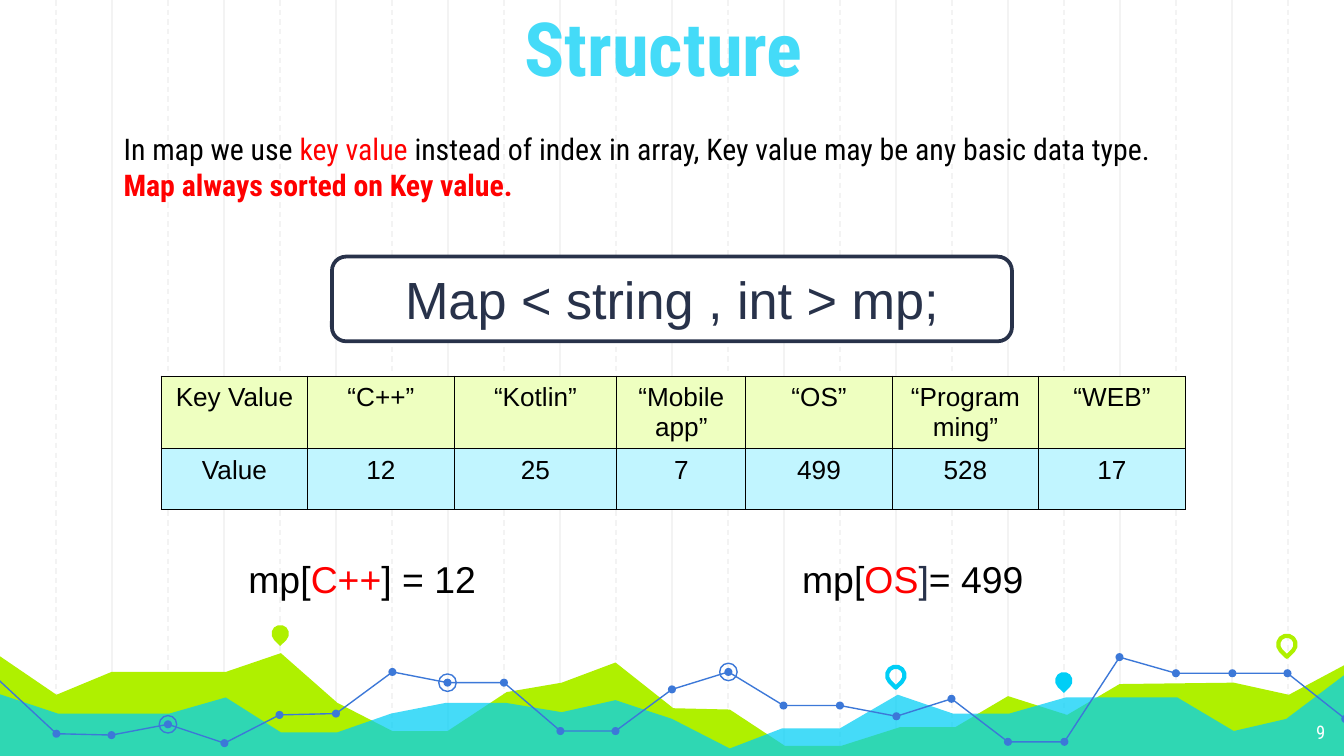
"""Build the slide on the structure of a map."""
from typing import NamedTuple

from lxml import etree
from pptx import Presentation
from pptx import util as u
from pptx.dml.color import RGBColor
from pptx.enum import dml, shapes, text
from pptx.oxml import ns

LIME, CYAN, BLUE = "AFF000", "00CEF6", "3C78D8"
BLACK, RED, NAVY, WHITE = "000000", "FF0000", "28324A", "FFFFFF"
ROBOTO, ARIAL = "Roboto Condensed", "Arial"
KIND = shapes.MSO_SHAPE
ALIGN = text.PP_ALIGN


class Box(NamedTuple):
    x: float
    y: float
    w: float
    h: float


class Bit(NamedTuple):
    words: str
    tint: str = BLACK
    bold: bool = False


class Pin(NamedTuple):
    x: float
    y: float
    tint: str
    solid: bool


class Note(NamedTuple):
    x: float
    bits: list


GREEN = [(-0.02, 4.87), (0.42, 5.17), (0.83, 5), (1.68, 5), (2.09, 4.86), (2.51, 5.23),
         (2.92, 5.44), (3.33, 5.44), (3.77, 5.15), (4.18, 5.08), (4.58, 4.93), (5.01, 5.27),
         (5.43, 5.28), (5.84, 5.55), (6.26, 5.55), (6.7, 5.41), (7.11, 5.41), (7.5, 5.18),
         (7.94, 5.32), (8.33, 5.09), (9.18, 5.08), (9.59, 5.17), (10.02, 4.94),
         (10.01, 5.64), (-0.03, 5.64)]
WATER = [(-0.02, 5.16), (0.43, 5.31), (1.26, 5.31), (1.68, 5.19), (2.09, 5.45), (2.51, 5.45),
         (2.91, 5.31), (3.32, 5.23), (3.76, 5.23), (4.18, 5.3), (4.58, 5.21), (5, 5.35),
         (5.43, 5.57), (5.82, 5.42), (6.25, 5.42), (6.68, 5.17), (7.09, 5.31), (7.51, 5.31),
         (7.93, 5.19), (8.76, 5.19), (9.18, 5.44), (9.57, 5.35), (10.02, 5.01),
         (10.02, 5.65), (-0.03, 5.65)]
TREND = [(-0.01, 5.06), (0.42, 5.46), (0.83, 5.47), (1.25, 5.39), (1.67, 5.53), (2.08, 5.32),
         (2.5, 5.31), (2.92, 5), (3.33, 5.08), (3.75, 5.08), (4.17, 5.44), (4.58, 5.44),
         (5, 5.13), (5.42, 5), (5.83, 5.25), (6.25, 5.25), (6.67, 5.33), (7.08, 5.2),
         (7.5, 5.52), (7.92, 5.52), (8.33, 4.89), (8.75, 5.01), (9.17, 5.01), (9.58, 5.01),
         (10.01, 5.35)]
RINGS = [3, 8, 13]
PINS = [Pin(2.02, 4.65, LIME, True), Pin(6.6, 4.96, CYAN, False),
        Pin(7.85, 5, CYAN, True), Pin(9.51, 4.73, LIME, False)]
KEYS = ["Key Value", "“C++”", "“Kotlin”", "“Mobile app”", "“OS”", "“Programming”", "“WEB”"]
VALUES = ["Value", "12", "25", "7", "499", "528", "17"]
WIDTHS = [1.09, 1.09, 1.21, 0.96, 1.09, 1.09, 1.09]
INTRO = [[Bit("In map we use "), Bit("key value ", RED),
          Bit("instead of index in array, Key value may be any basic data type.")],
         [Bit("Map always sorted on Key value.", RED, True)]]
NOTES = [Note(1.75, [Bit("mp["), Bit("C++", RED), Bit("] = 12")]),
         Note(5.87, [Bit("mp["), Bit("OS", RED), Bit("]", NAVY), Bit("= 499")])]


def rgb(tint: str) -> RGBColor:
    return RGBColor.from_string(tint)


def place(shape, box: Box) -> None:
    shape.left, shape.top, shape.width, shape.height = map(u.Inches, box)


def paint(shape, fill: str = "", line: str = "", width: float = 0.75) -> None:
    shape.shadow.inherit = False
    if fill:
        shape.fill.solid()
        shape.fill.fore_color.rgb = rgb(fill)
    else:
        shape.fill.background()
    if line:
        shape.line.color.rgb = rgb(line)
        shape.line.width = u.Pt(width)
    else:
        shape.line.fill.background()


def write(para, bits: list, size: float, font: str, align=ALIGN.LEFT) -> None:
    para.alignment = align
    para.space_before = para.space_after = u.Pt(0)
    for bit in bits:
        run = para.add_run()
        run.text = bit.words
        run.font.size, run.font.name, run.font.bold = u.Pt(size), font, bit.bold
        run.font.color.rgb = rgb(bit.tint)


def inset(frame, gap: float) -> None:
    frame.margin_left = frame.margin_right = u.Inches(gap)
    frame.margin_top = frame.margin_bottom = u.Inches(gap)


def label(slide, box: Box, bits: list, size: float, font: str, align=ALIGN.LEFT):
    frame = slide.shapes.add_textbox(*map(u.Inches, box)).text_frame
    frame.word_wrap = True
    write(frame.paragraphs[0], bits, size, font, align)
    return frame


def rule(slide, x: float, dashed: bool) -> None:
    line = slide.shapes.add_connector(shapes.MSO_CONNECTOR.STRAIGHT, u.Inches(x), 0,
                                      u.Inches(x), u.Inches(5.65))
    line.line.color.rgb = rgb("F3F3F3")
    line.line.width = u.Pt(0.75)
    if dashed:
        line.line.dash_style = dml.MSO_LINE.DASH
    etree.SubElement(line._element.spPr, ns.qn("a:effectLst"))


def trace(slide, points: list, closed: bool):
    dots = [(u.Inches(x), u.Inches(y)) for x, y in points]
    pen = slide.shapes.build_freeform(*dots[0])
    pen.add_line_segments(dots[1:], close=closed)
    return pen.convert_to_shape()


def dot(slide, spot: tuple, size: float, fill: str = "", line: str = "") -> None:
    box = Box(spot[0] - size / 2, spot[1] - size / 2, size, size)
    paint(slide.shapes.add_shape(KIND.OVAL, *map(u.Inches, box)), fill, line)


def scene(slide) -> None:
    for step in range(1, 12):
        rule(slide, step * 10 / 12, False)
    for step in range(12):
        rule(slide, (step + 0.5) * 10 / 12, True)
    paint(trace(slide, GREEN, True), LIME)
    water = trace(slide, WATER, True)
    paint(water, CYAN)
    shade = water._element.spPr.find(".//" + ns.qn("a:srgbClr"))
    etree.SubElement(shade, ns.qn("a:alpha"), val="73000")
    for start, end in [(0, 12), (11, 21), (20, 25)]:
        paint(trace(slide, TREND[start:end], False), line=BLUE)
    for spot in TREND[1:]:
        dot(slide, spot, 0.06, fill=BLUE)
    for ring in RINGS:
        dot(slide, TREND[ring], 0.13, line=BLUE)
    for pin in PINS:
        drop = slide.shapes.add_shape(KIND.TEAR, *map(u.Inches, (pin.x, pin.y, 0.13, 0.13)))
        drop.rotation = 135
        paint(drop, pin.tint if pin.solid else "", "" if pin.solid else pin.tint, 2.25)


def edge(cell) -> None:
    props = cell._tc.get_or_add_tcPr()
    for spot, side in enumerate(("lnL", "lnR", "lnT", "lnB")):
        line = etree.Element(ns.qn("a:" + side), w=str(u.Pt(0.75)))
        fill = etree.SubElement(line, ns.qn("a:solidFill"))
        etree.SubElement(fill, ns.qn("a:srgbClr"), val=BLACK)
        props.insert(spot, line)


def grid(slide) -> None:
    box = Box(1.2, 2.8, sum(WIDTHS), 0.99)
    table = slide.shapes.add_table(2, len(KEYS), *map(u.Inches, box)).table
    for col, width in zip(table.columns, WIDTHS):
        col.width = u.Inches(width)
    rows = zip(table.rows, (KEYS, VALUES), ("EEFFC0", "C1F5FF"), (0.54, 0.45))
    for row, words, tint, height in rows:
        row.height = u.Inches(height)
        for cell, word in zip(row.cells, words):
            cell.fill.solid()
            cell.fill.fore_color.rgb = rgb(tint)
            write(cell.text_frame.paragraphs[0], [Bit(word)], 14, ARIAL, ALIGN.CENTER)
            edge(cell)


def heads(slide) -> None:
    title, body = slide.placeholders
    for holder, box in ((title, Box(0, 0, 10, 0.78)), (body, Box(0.82, 0.92, 8.2, 0.64))):
        place(holder, box)
        holder.text_frame.auto_size = text.MSO_AUTO_SIZE.NONE
        slide.shapes._spTree.append(holder._element)
    frame = title.text_frame
    inset(frame, 0.1)
    frame.vertical_anchor = text.MSO_ANCHOR.BOTTOM
    write(frame.paragraphs[0], [Bit("Structure ", "44DBF8", True)], 40, ROBOTO, ALIGN.CENTER)
    frame = body.text_frame
    for row, bits in enumerate(INTRO):
        para = frame.add_paragraph() if row else frame.paragraphs[0]
        write(para, bits, 16, ROBOTO)
        props = para._p.get_or_add_pPr()
        props.set("marL", "0")
        props.set("indent", "0")
        etree.SubElement(props, ns.qn("a:buNone"))


def main() -> None:
    deck = Presentation()
    deck.slide_width, deck.slide_height = u.Inches(10), u.Inches(10 * 9 / 16)
    slide = deck.slides.add_slide(deck.slide_layouts[1])
    for holder in list(slide.placeholders)[2:]:
        holder._element.getparent().remove(holder._element)
    scene(slide)
    page = label(slide, Box(9.36, 5.28, 0.6, 0.35), [Bit("9", WHITE)], 10, ROBOTO, ALIGN.RIGHT)
    inset(page, 0.1)
    heads(slide)
    grid(slide)
    code = slide.shapes.add_shape(KIND.ROUNDED_RECTANGLE,
                                  *map(u.Inches, (2.47, 1.91, 5.06, 0.63)))
    paint(code, WHITE, NAVY, 2)
    code.text_frame.vertical_anchor = text.MSO_ANCHOR.MIDDLE
    write(code.text_frame.paragraphs[0], [Bit("Map < string , int > mp;", NAVY)], 28, ARIAL,
          ALIGN.CENTER)
    for note in NOTES:
        label(slide, Box(note.x, 4.09, 2.56, 0.44), note.bits, 20, ARIAL)
    deck.save("out.pptx")


if __name__ == "__main__":
    main()
